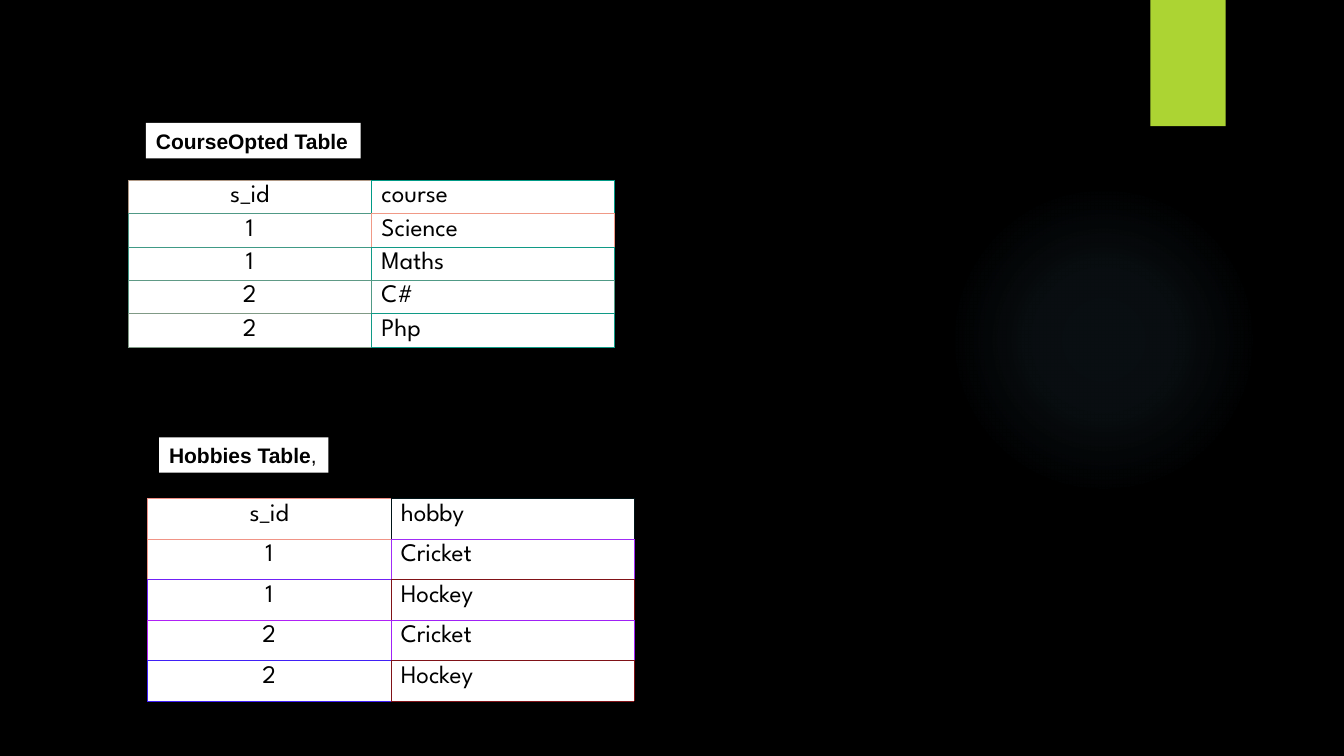
import pptx
import pptx.util
import pptx.dml.color
import pptx.enum.shapes
import pptx.enum.text
import pptx.oxml
import pptx.oxml.ns

Cm = pptx.util.Cm
Pt = pptx.util.Pt
RGB = pptx.dml.color.RGBColor.from_string
ALIGN = pptx.enum.text.PP_ALIGN
SHAPE = pptx.enum.shapes.MSO_SHAPE
NS = pptx.oxml.ns.nsdecls("a")

THEME = {
    "background": "000000", "panel": "FFFFFF", "accent": "ACD433", "glow": "7AC4F0",
    "label": {"name": "Arial", "size": Pt(15), "bold": True},
    "cell": {"name": "League Spartan", "size": Pt(18), "bold": False},
    "text": "000000", "border": 0.5,
}

# Boxes are left, top, width, height in cm. Each table row has one border colour
# per cell, used on its left and top edges.
SECTIONS = [
    {
        "label": [("CourseOpted Table", True)],
        "label_box": (3.68, 3.1, 5.41, 0.89),
        "rows": [("s_id", "course"), ("1", "Science"), ("1", "Maths"),
                 ("2", "C#"), ("2", "Php")],
        "borders": [("B09986", "009A86"), ("509986", "F09986"), ("409A86", "109A86"),
                    ("609A86", "509A86"), ("809A86", "109A86")],
        "origin": (3.23, 4.54), "row_height": 0.84,
    },
    {
        "label": [("Hobbies Table", True), (",", False)],
        "label_box": (4.01, 11.02, 4.27, 0.89),
        "rows": [("s_id", "hobby"), ("1", "Cricket"), ("1", "Hockey"),
                 ("2", "Cricket"), ("2", "Hockey")],
        "borders": [("F09086", "001317"), ("F09486", "A02CF6"), ("7021F6", "801217"),
                    ("B021F6", "A021F6"), ("4020F6", "801217")],
        "origin": (3.72, 12.56), "row_height": 1.02,
    },
]
COLUMN_WIDTH = 6.13
COLUMN_ALIGN = (ALIGN.CENTER, ALIGN.LEFT)
GLOW_BOX = (23.9, 4.65, 7.82, 7.82)
GLOW_STOPS = [(0, 7), (36, 6), (69, 0)]  # position %, opacity %
TAB_BOX = (28.99, 0, 1.9, 3.18)


def set_format(target, values):
    """Set each value of a dict as an attribute."""
    for name, value in values.items():
        setattr(target, name, value)


def paint(fill, color):
    """Give a fill one solid colour."""
    fill.solid()
    fill.fore_color.rgb = RGB(color)


def add_run(p, text, style, **changes):
    """Add a run in a theme style."""
    r = p.add_run()
    r.text = text
    set_format(r.font, {**style, **changes})
    r.font.color.rgb = RGB(THEME["text"])


def add_plain_shape(s, kind, box, color):
    """Add a shape with a solid fill, no line and no shadow."""
    sp = s.shapes.add_shape(kind, *map(Cm, box))
    sp.shadow.inherit = False
    sp.line.fill.background()
    paint(sp.fill, color)
    return sp


def add_glow(s):
    """Add the soft round glow, a radial gradient that fades out."""
    sp = add_plain_shape(s, SHAPE.OVAL, GLOW_BOX, THEME["glow"])
    stops = "".join(
        f'<a:gs pos="{pos * 1000}"><a:srgbClr val="{THEME["glow"]}">'
        f'<a:alpha val="{alpha * 1000}"/></a:srgbClr></a:gs>'
        for pos, alpha in GLOW_STOPS)
    gradient = pptx.oxml.parse_xml(
        f'<a:gradFill {NS}><a:gsLst>{stops}</a:gsLst><a:path path="circle">'
        '<a:fillToRect l="50000" t="50000" r="50000" b="50000"/></a:path></a:gradFill>')
    spPr = sp._element.spPr
    spPr.replace(spPr.find(pptx.oxml.ns.qn("a:solidFill")), gradient)


def add_label(s, runs, box):
    """Add the white caption above a table."""
    sp = s.shapes.add_textbox(*map(Cm, box))
    paint(sp.fill, THEME["panel"])
    tf = sp.text_frame
    set_format(tf, {"word_wrap": False,
                    "auto_size": pptx.enum.text.MSO_AUTO_SIZE.SHAPE_TO_FIT_TEXT,
                    "vertical_anchor": pptx.enum.text.MSO_ANCHOR.MIDDLE})
    for text, bold in runs:
        add_run(tf.paragraphs[0], text, THEME["label"], bold=bold)


def add_borders(cell, colors):
    """Draw the cell edges from a dict of side to colour."""
    tcPr = cell._tc.get_or_add_tcPr()
    for side, color in colors.items():
        tcPr.append(pptx.oxml.parse_xml(
            f'<a:ln{side} {NS} w="{Pt(THEME["border"])}"><a:solidFill>'
            f'<a:srgbClr val="{color}"/></a:solidFill></a:ln{side}>'))


def add_data_table(s, rows, borders, origin, row_height):
    """Add a table whose right and bottom edges take the next cell's colour."""
    n_rows, n_cols = len(rows), len(rows[0])
    size = (n_cols * COLUMN_WIDTH, n_rows * row_height)
    table = s.shapes.add_table(n_rows, n_cols, *map(Cm, origin + size)).table
    set_format(table, {"first_row": False, "horz_banding": False})
    for column in table.columns:
        column.width = Cm(COLUMN_WIDTH)
    for i, row in enumerate(rows):
        table.rows[i].height = Cm(row_height)
        for j, text in enumerate(row):
            cell = table.cell(i, j)
            own = borders[i][j]
            add_borders(cell, {"L": own, "R": borders[i][min(j + 1, n_cols - 1)],
                               "T": own, "B": borders[min(i + 1, n_rows - 1)][j]})
            paint(cell.fill, THEME["panel"])
            p = cell.text_frame.paragraphs[0]
            p.alignment = COLUMN_ALIGN[j]
            add_run(p, text, THEME["cell"])


prs = pptx.Presentation()
set_format(prs, {"slide_width": Cm(33.87), "slide_height": Cm(19.05)})
s = prs.slides.add_slide(prs.slide_layouts[6])
paint(s.background.fill, THEME["background"])
add_glow(s)
add_plain_shape(s, SHAPE.RECTANGLE, TAB_BOX, THEME["accent"])
for section in SECTIONS:
    add_data_table(s, section["rows"], section["borders"],
                   section["origin"], section["row_height"])
    add_label(s, section["label"], section["label_box"])
prs.save("out.pptx")
